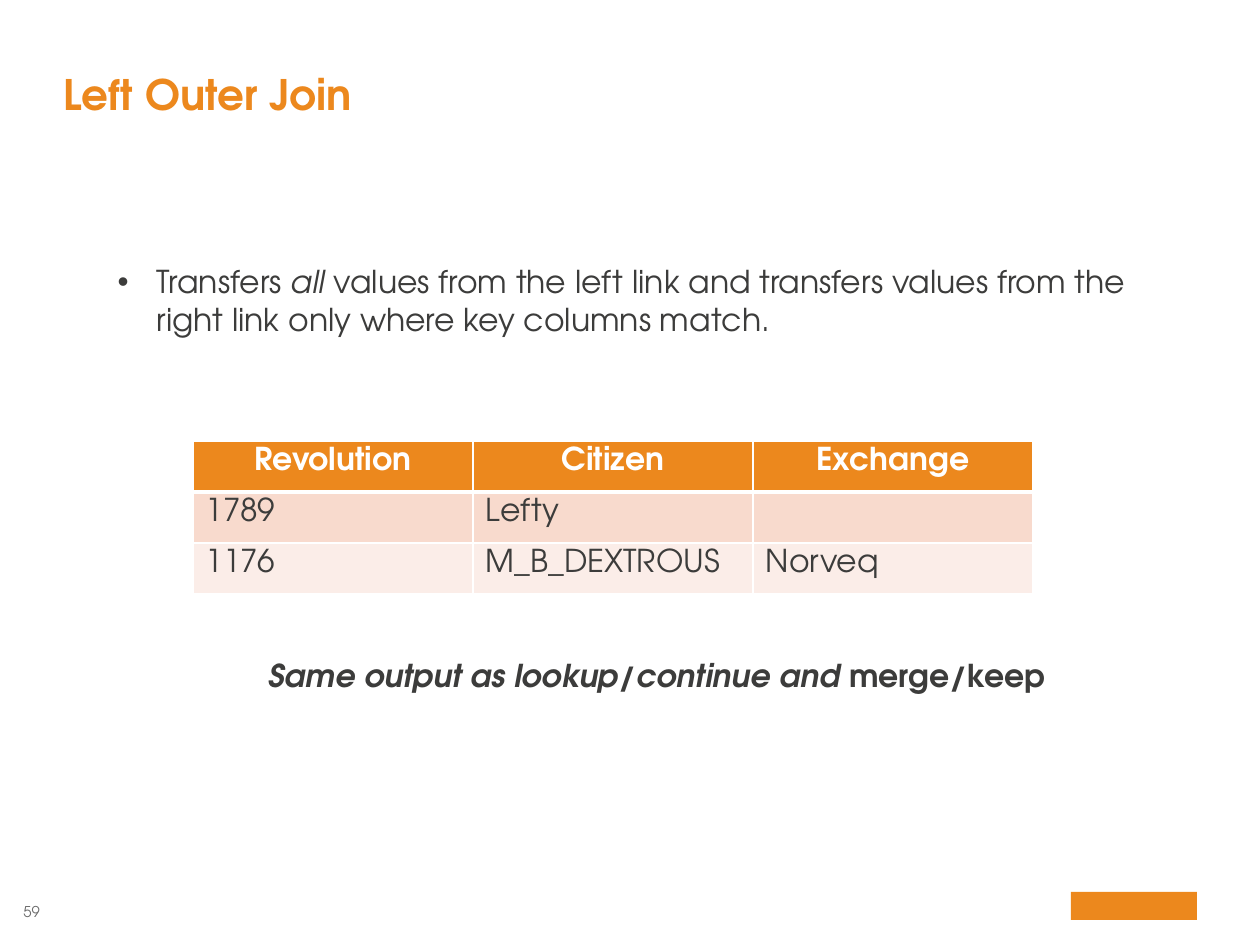
from typing import NamedTuple

from lxml.etree import SubElement
from pptx import Presentation
from pptx.dml.color import RGBColor
from pptx.enum.shapes import MSO_SHAPE
from pptx.enum.text import MSO_ANCHOR, MSO_AUTO_SIZE, PP_ALIGN
from pptx.oxml.ns import qn
from pptx.util import Emu, Pt

PX_PER_INCH = 126
FONT = "TeX Gyre Adventor"
COLORS = {
    "accent": "EC881D",
    "text": "3C3C3B",
    "muted": "6C6C6C",
    "white": "FFFFFF",
    "band_dark": "F8DACD",
    "band_light": "FBEDE8",
}
ROWS = [
    ("Revolution", "Citizen", "Exchange"),
    ("1789", "Lefty", ""),
    ("1176", "M_B_DEXTROUS", "Norveq"),
]
ROW_FILLS = ["accent", "band_dark", "band_light"]


class Box(NamedTuple):
    left: int
    top: int
    width: int
    height: int


class Span(NamedTuple):
    text: str
    bold: bool = False
    italic: bool = False


TITLE = Box(63, 23, 1134, 97)
BODY = Box(105, 256, 1103, 89)
TABLE = Box(193, 441, 840, 153)
NOTE = Box(158, 650, 998, 50)
NUMBER = Box(22, 903, 18, 18)
LOGO = Box(1071, 892, 126, 28)


def px(length: int) -> Emu:
    return Emu(round(length * 914400 / PX_PER_INCH))


def rgb(name: str) -> RGBColor:
    return RGBColor.from_string(COLORS[name])


def place(sp, box: Box) -> None:
    sp.left, sp.top, sp.width, sp.height = map(px, box)


def write(p, spans: list[Span], size: float, color: str, align=PP_ALIGN.LEFT) -> None:
    p.alignment = align
    for span in spans:
        r = p.add_run()
        r.text = span.text
        r.font.name = FONT
        r.font.size = Pt(size)
        r.font.bold = span.bold
        r.font.italic = span.italic
        r.font.color.rgb = rgb(color)


def clear_margins(tf) -> None:
    tf.margin_left = tf.margin_top = tf.margin_right = tf.margin_bottom = 0


def set_bullet(p, indent: int) -> None:
    pPr = p._p.get_or_add_pPr()
    pPr.set("marL", str(px(indent)))
    pPr.set("indent", str(-px(indent)))
    SubElement(pPr, qn("a:buChar")).set("char", "•")


def set_borders(cell, bottom: float) -> None:
    """Draw white cell borders, with the bottom one in its own width."""
    tcPr = cell._tc.get_or_add_tcPr()
    for i, (tag, width) in enumerate(
        [("a:lnL", 1), ("a:lnR", 1), ("a:lnT", 1), ("a:lnB", bottom)]
    ):
        ln = tcPr.makeelement(qn(tag), {"w": str(Pt(width))})
        fill = SubElement(ln, qn("a:solidFill"))
        SubElement(fill, qn("a:srgbClr")).set("val", COLORS["white"])
        tcPr.insert(i, ln)


def add_title(slide) -> None:
    sp = slide.shapes.title
    place(sp, TITLE)
    tf = sp.text_frame
    clear_margins(tf)
    tf.auto_size = MSO_AUTO_SIZE.NONE
    tf.vertical_anchor = MSO_ANCHOR.BOTTOM
    p = tf.paragraphs[0]
    p.line_spacing = 0.95
    write(p, [Span("Left Outer Join", bold=True)], 24, "accent")


def add_body(slide) -> None:
    sp = slide.placeholders[1]
    place(sp, BODY)
    tf = sp.text_frame
    tf.auto_size = MSO_AUTO_SIZE.NONE
    p = tf.paragraphs[0]
    p.space_before = Pt(0)
    set_bullet(p, 39)
    spans = [
        Span("Transfers "),
        Span("all ", italic=True),
        Span("values from the left link and transfers values "
             "from the right link only where key columns match."),
    ]
    write(p, spans, 18, "text")


def add_join_table(slide) -> None:
    columns = len(ROWS[0])
    table = slide.shapes.add_table(len(ROWS), columns, *map(px, TABLE)).table
    for i, (values, fill) in enumerate(zip(ROWS, ROW_FILLS)):
        header = i == 0
        for j, value in enumerate(values):
            cell = table.cell(i, j)
            cell.fill.solid()
            cell.fill.fore_color.rgb = rgb(fill)
            set_borders(cell, 3 if header else 1)
            write(
                cell.text_frame.paragraphs[0],
                [Span(value, bold=header)],
                18,
                "white" if header else "text",
                PP_ALIGN.CENTER if header else PP_ALIGN.LEFT,
            )


def add_text(slide, box: Box, spans: list[Span], size: float, color: str, align):
    tf = slide.shapes.add_textbox(*map(px, box)).text_frame
    tf.word_wrap = True
    write(tf.paragraphs[0], spans, size, color, align)
    return tf


def add_logo_block(slide) -> None:
    sp = slide.shapes.add_shape(MSO_SHAPE.RECTANGLE, *map(px, LOGO))
    sp.shadow.inherit = False
    sp.fill.solid()
    sp.fill.fore_color.rgb = rgb("accent")
    sp.line.fill.background()


def main() -> None:
    prs = Presentation()
    prs.slide_width, prs.slide_height = px(1260), px(945)
    slide = prs.slides.add_slide(prs.slide_layouts[1])
    add_logo_block(slide)
    number = add_text(slide, NUMBER, [Span("59")], 8.5, "muted", PP_ALIGN.RIGHT)
    number.word_wrap = False
    clear_margins(number)
    add_title(slide)
    add_body(slide)
    note = [
        Span("Same output as lookup/continue and ", bold=True, italic=True),
        Span("merge/keep", bold=True),
    ]
    add_text(slide, NOTE, note, 18, "text", PP_ALIGN.CENTER)
    add_join_table(slide)
    prs.save("out.pptx")


if __name__ == "__main__":
    main()
